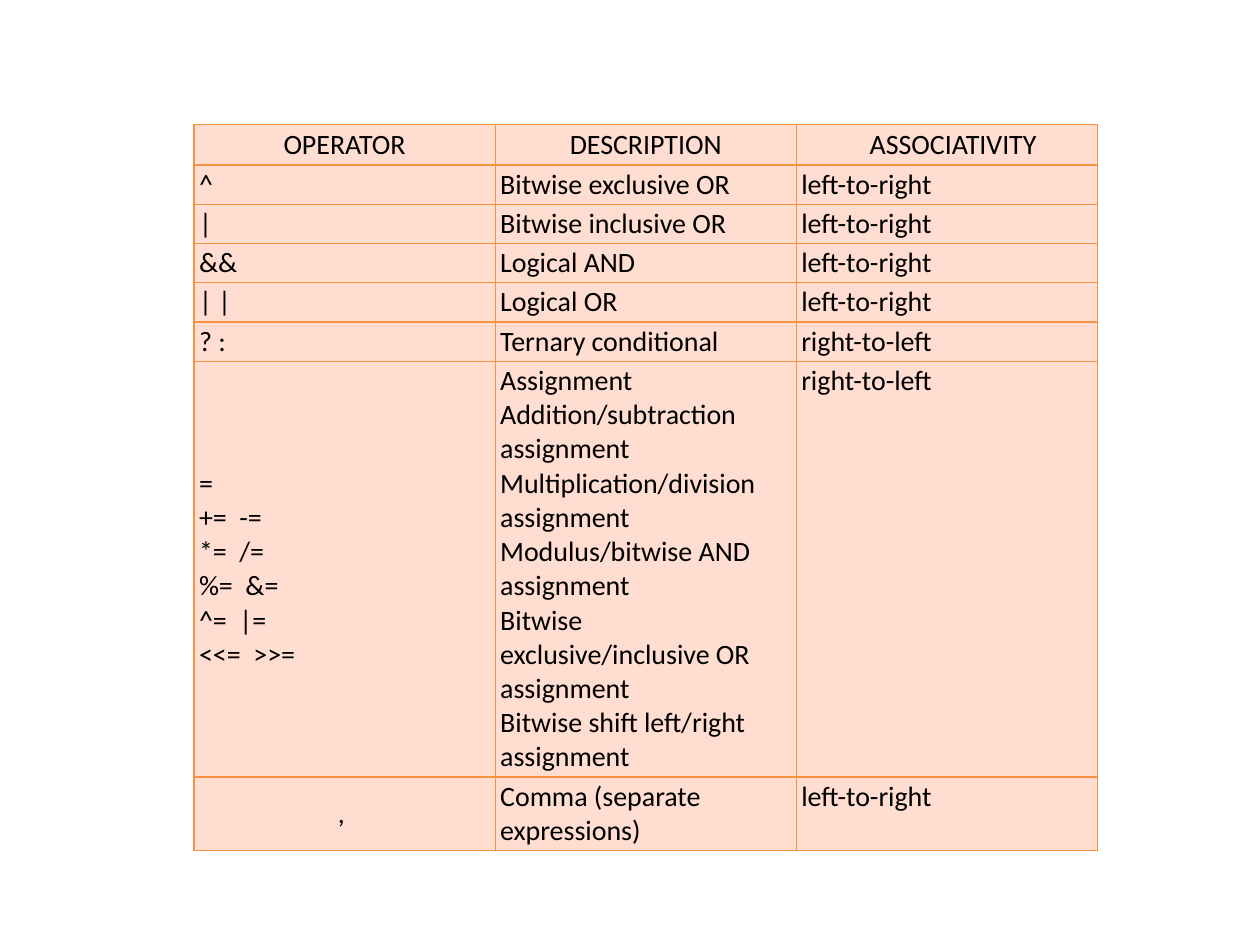
from pptx import Presentation
from pptx.dml.color import RGBColor
from pptx.enum.text import MSO_ANCHOR, PP_ALIGN
from pptx.oxml import parse_xml
from pptx.oxml.ns import nsdecls
from pptx.util import Inches, Pt


def rgb(value):
    return RGBColor.from_string(value)


class Deck:
    font, size, ink = "Calibri", 16, "000000"
    fill, border = "FFDDD0", "F69240"

    def __init__(self, prs):
        self.s = prs.slides.add_slide(prs.slide_layouts[6])

    def table(self, left, top, widths, heights, rows):
        frame = self.s.shapes.add_table(
            len(rows), len(widths), Inches(left), Inches(top),
            Inches(sum(widths)), Inches(sum(heights)))
        table = frame.table
        table.first_row = table.horz_banding = False
        for column, width in zip(table.columns, widths):
            column.width = Inches(width)
        for row, height in zip(table.rows, heights):
            row.height = Inches(height)
        for i, texts in enumerate(rows):
            for j, text in enumerate(texts):
                header = i == 0
                centred = header or text.startswith(",")
                top_aligned = not header and j == 2
                self.cell(table.cell(i, j), text, 0.02 if header else 0.04,
                          centred, top_aligned)

    def cell(self, cell, text, inset, centred, top_aligned):
        cell.margin_left = cell.margin_right = Inches(inset)
        cell.margin_top = cell.margin_bottom = Inches(0.02)
        cell.vertical_anchor = MSO_ANCHOR.TOP if top_aligned else MSO_ANCHOR.MIDDLE
        p = cell.text_frame.paragraphs[0]
        p.alignment = PP_ALIGN.CENTER if centred else PP_ALIGN.LEFT
        for i, line in enumerate(text.split("\n")):
            if i:
                p.add_line_break()
            r = p.add_run()
            r.text = line
            r.font.name = self.font
            r.font.size = Pt(self.size)
            r.font.color.rgb = rgb(self.ink)
        self.borders(cell)
        cell.fill.solid()
        cell.fill.fore_color.rgb = rgb(self.fill)

    def borders(self, cell):
        props = cell._tc.get_or_add_tcPr()
        for side in ("lnL", "lnR", "lnT", "lnB"):
            props.append(parse_xml(
                f'<a:{side} {nsdecls("a")} w="{Pt(0.75)}"><a:solidFill>'
                f'<a:srgbClr val="{self.border}"/></a:solidFill></a:{side}>'))


LEFT, RIGHT = "left-to-right", "right-to-left"
ASSIGNMENT_OPERATORS = "\n".join([
    "=", "+= \u00a0-=", "*=\u00a0 /=", "%=\u00a0 &=", "^=\u00a0 |=", "<<=\u00a0 >>="])
ASSIGNMENT_NAMES = "\n".join([
    "Assignment",
    "Addition/subtraction assignment",
    "Multiplication/division assignment",
    "Modulus/bitwise AND assignment",
    "Bitwise exclusive/inclusive OR assignment",
    "Bitwise shift left/right assignment"])
OPERATORS = [
    ("OPERATOR", "DESCRIPTION", "\u00a0 ASSOCIATIVITY"),
    ("^", "Bitwise exclusive OR", LEFT),
    ("|", "Bitwise inclusive OR", LEFT),
    ("&&", "Logical AND", LEFT),
    ("| |", "Logical OR", LEFT),
    ("? :", "Ternary conditional", RIGHT),
    (ASSIGNMENT_OPERATORS, ASSIGNMENT_NAMES, RIGHT),
    (", ", "Comma (separate expressions)", LEFT),
]

prs = Presentation()
prs.slide_width, prs.slide_height = Inches(10), Inches(7.5)
deck = Deck(prs)
deck.table(1.54, 0.99, [2.39] * 3, [0.32] + [0.31] * 5 + [3.3, 0.58], OPERATORS)
prs.save("out.pptx")
